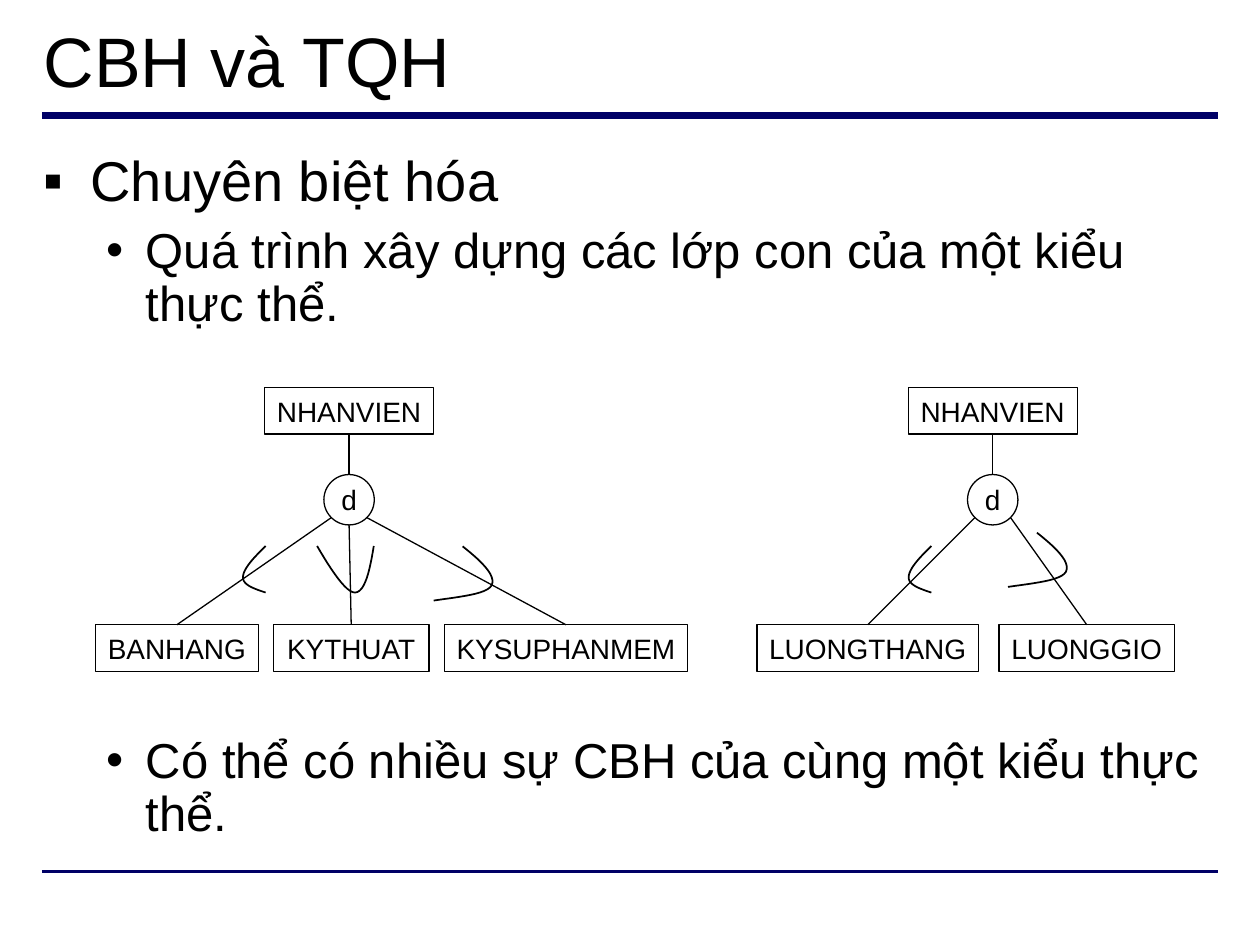
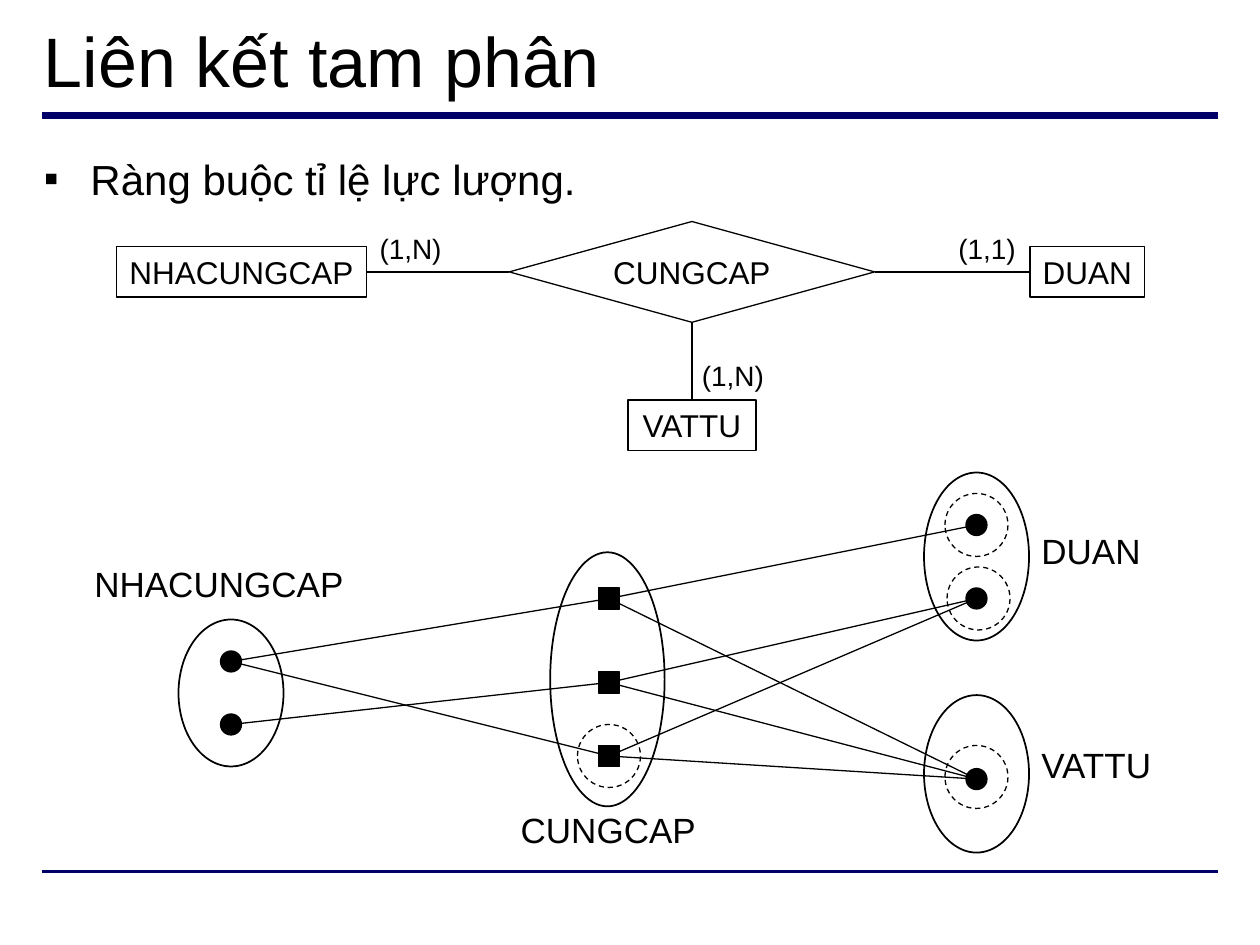
from dataclasses import dataclass

from lxml import etree
from pptx import Presentation
from pptx import util as u
from pptx.dml.color import RGBColor
from pptx.enum import dml, shapes, text
from pptx.oxml import ns

BLACK = RGBColor(0x00, 0x00, 0x00)
WHITE = RGBColor(0xFF, 0xFF, 0xFF)
NAVY = RGBColor(0x00, 0x00, 0x66)
FONT = "Arial"
COLUMNS, ROWS = 120, 90  # square grid cells, twelve to the inch
CELL = u.Inches(10) // COLUMNS
RECTANGLE = shapes.MSO_SHAPE.RECTANGLE
OVAL = shapes.MSO_SHAPE.OVAL
DIAMOND = shapes.MSO_SHAPE.DIAMOND
TOP, LEFT, BOTTOM, RIGHT = range(4)

# Bullet levels: character, left indent, hanging indent (inches)
BULLETS = [("▪", 0.37, 0.37), ("•", 0.81, 0.31)]

# Subset marks: Bezier points in cells, counted from the mark's start
SUBSET_MARKS = {
    "left": [(0, 0), (-1.08, 1.08), (-2.16, 2.16), (-2.16, 3),
             (-2.16, 3.72), (-1.08, 4.08), (0, 4.44)],
    "middle": [(0, 0), (1.32, 2.28), (2.76, 4.44), (3.6, 4.44),
               (4.56, 4.44), (5.04, 2.28), (5.4, 0)],
    "right": [(0, 0), (2.52, -0.36), (5.04, -0.6), (5.52, -1.44),
              (6, -2.4), (4.44, -3.84), (2.76, -5.16)],
}


@dataclass
class Region:
    """A part of a slide; positions in it are counted in grid cells."""
    slide: object
    column: float
    row: float

    def point(self, column, row):
        return round((self.column + column) * CELL), round((self.row + row) * CELL)

    def box(self, column, row, width, height):
        return *self.point(column, row), round(width * CELL), round(height * CELL)


def write(frame, content, size, align=text.PP_ALIGN.LEFT,
          anchor=text.MSO_ANCHOR.TOP, wrap=False, level=None,
          spacing=None, before=0, new_paragraph=False):
    frame.word_wrap = wrap
    frame.vertical_anchor = anchor
    paragraph = frame.add_paragraph() if new_paragraph else frame.paragraphs[0]
    if level is not None:
        add_bullet(paragraph, *BULLETS[level])
    paragraph.alignment = align
    paragraph.space_before = u.Pt(before)
    if spacing:
        paragraph.line_spacing = spacing
    run = paragraph.add_run()
    run.text = content
    run.font.name = FONT
    run.font.size = u.Pt(size)
    run.font.color.rgb = BLACK


def add_bullet(paragraph, character, indent, hanging):
    properties = paragraph._p.get_or_add_pPr()
    properties.set("marL", str(u.Inches(indent)))
    properties.set("indent", str(-u.Inches(hanging)))
    etree.SubElement(properties, ns.qn("a:buFont"), typeface=FONT)
    etree.SubElement(properties, ns.qn("a:buChar"), char=character)


def add_text(region, box, content, size, **formatting):
    textbox = region.slide.shapes.add_textbox(*region.box(*box))
    write(textbox.text_frame, content, size, **formatting)
    return textbox.text_frame


def add_shape(region, kind, box, fill=None, width=0.75, dashed=False,
              label=None, size=16):
    shape = region.slide.shapes.add_shape(kind, *region.box(*box))
    shape.shadow.inherit = False
    if fill is None:
        shape.fill.background()
    else:
        shape.fill.solid()
        shape.fill.fore_color.rgb = fill
    shape.line.color.rgb = BLACK
    shape.line.width = u.Pt(width)
    if dashed:
        shape.line.dash_style = dml.MSO_LINE.DASH
    if label:
        write(shape.text_frame, label, size, align=text.PP_ALIGN.CENTER,
              anchor=text.MSO_ANCHOR.MIDDLE)
    return shape


def add_centred(region, kind, centre, radius, **formatting):
    column, row = centre
    box = (column - radius, row - radius, 2 * radius, 2 * radius)
    return add_shape(region, kind, box, **formatting)


def add_line(region, start, end, colour=BLACK, width=0.75):
    line = region.slide.shapes.add_connector(
        shapes.MSO_CONNECTOR.STRAIGHT, *region.point(*start), *region.point(*end))
    line.line.color.rgb = colour
    line.line.width = u.Pt(width)
    etree.SubElement(line._element.spPr, ns.qn("a:effectLst"))
    return line


def bezier(a, b, c, d, steps=12):
    for step in range(1, steps + 1):
        t = step / steps
        s = 1 - t
        weights = (s ** 3, 3 * s * s * t, 3 * s * t * t, t ** 3)
        yield tuple(sum(w * p[axis] for w, p in zip(weights, (a, b, c, d)))
                    for axis in (0, 1))


def add_subset_mark(region, side, column, row):
    controls = [(column + x, row + y) for x, y in SUBSET_MARKS[side]]
    curve = [*bezier(*controls[:4]), *bezier(*controls[3:])]
    builder = region.slide.shapes.build_freeform(*region.point(*controls[0]))
    builder.add_line_segments([region.point(*p) for p in curve], close=False)
    mark = builder.convert_to_shape()
    mark.shadow.inherit = False
    mark.fill.background()
    mark.line.color.rgb = BLACK
    mark.line.width = u.Pt(1)


def new_slide(presentation, title):
    """Blank slide with the shared title and the two navy rules."""
    slide = presentation.slides.add_slide(presentation.slide_layouts[6])
    page = Region(slide, 0, 0)
    for row, width in ((11, 4.5), (83, 2.25)):
        add_line(page, (4, row), (COLUMNS - 4, row), NAVY, width)
    add_text(page, (3, 1.1, COLUMNS - 6, 9.2), title, 40, wrap=True,
             anchor=text.MSO_ANCHOR.MIDDLE)
    return page


def draw_tree(region, parent_column, children, gap, marks):
    """Superclass on top, disjoint circle, then a row of subclasses."""
    height, child_row, radius = 4.45, 22.6, 2.4
    parent_width = 16.1
    centre = parent_column + parent_width / 2
    circle_row = 10.7
    parent = add_shape(region, RECTANGLE, (parent_column, 0, parent_width, height),
                       fill=WHITE, label="NHANVIEN")
    add_centred(region, OVAL, (centre, circle_row), radius, label="d")
    stem = add_line(region, (centre, height), (centre, circle_row - radius))
    stem.begin_connect(parent, BOTTOM)

    diagonal = radius * 0.71
    exits = {"left": (-diagonal, diagonal), "middle": (0, radius),
             "right": (diagonal, diagonal)}
    column = 0
    for (name, width), (side, mark_column, mark_row) in zip(children, marks):
        child = add_shape(region, RECTANGLE, (column, child_row, width, height),
                          fill=WHITE, label=name)
        across, down = exits[side]
        branch = add_line(region, (centre + across, circle_row + down),
                          (column + width / 2, child_row))
        branch.end_connect(child, TOP)
        add_subset_mark(region, side, mark_column, mark_row)
        column += width + gap


def draw_relationship(region):
    """Ternary relationship with its entity types and cardinalities."""
    def entity(name, column, row, width):
        return add_shape(region, RECTANGLE, (column, row, width, 4.8),
                         fill=WHITE, label=name, size=18)

    supplier = entity("NHACUNGCAP", 0, 2.4, 23.8)
    project = entity("DUAN", 87, 2.4, 10.9)
    part = entity("VATTU", 48.7, 17, 12.2)
    supply = add_shape(region, DIAMOND, (37.4, 0, 34.8, 9.6),
                       fill=WHITE, label="CUNGCAP", size=18)
    links = [(supplier, RIGHT, supply, LEFT), (supply, RIGHT, project, LEFT),
             (supply, BOTTOM, part, TOP)]
    for source, source_side, target, target_side in links:
        line = add_line(region, (0, 0), (0, 0))
        line.begin_connect(source, source_side)
        line.end_connect(target, target_side)

    cardinalities = [("(1,N)", 23, 0.3), ("(1,1)", 77.9, 0.3), ("(1,N)", 53.7, 12.4)]
    for label, column, row in cardinalities:
        add_text(region, (column, row, 10, 4.45), label, 16,
                 align=text.PP_ALIGN.CENTER, anchor=text.MSO_ANCHOR.MIDDLE)


def draw_instances(region):
    """Sets of instances joined through the relationship's instances."""
    suppliers = [(14, 18), (14, 24)]
    supplies = [(50, 12), (50, 20), (50, 27)]
    projects = [(85, 5), (85, 12)]
    part = (85, 29.2)

    # Each supply joins one supplier, one project and the part
    for supply, supplier, project in zip(supplies, (0, 1, 0), (0, 1, 1)):
        for end in (suppliers[supplier], projects[project], part):
            add_line(region, supply, end)

    # Sets: name, ellipse, label box
    sets = [
        ("NHACUNGCAP", (9, 14, 10, 14), (-0.2, 8, 26.2, 5.3)),
        ("CUNGCAP", (44.4, 7.6, 10.9, 24.2), (40.4, 31.4, 19.1, 5.3)),
        ("DUAN", (80, 0, 10, 16), (90, 4.8, 11.9, 5.3)),
        ("VATTU", (80, 21.2, 10, 15), (90, 25.2, 13.3, 5.3)),
    ]
    for name, ellipse, label_box in sets:
        add_shape(region, OVAL, ellipse, width=1)
        add_text(region, label_box, name, 20)

    # Instances and the dashed rings around some of them
    for centre in [*suppliers, *projects, part]:
        add_centred(region, OVAL, centre, 1, fill=BLACK)
    for centre in supplies:
        add_centred(region, RECTANGLE, centre, 1, fill=BLACK)
    for centre in [projects[0], (85.2, 12), (85, 29), supplies[2]]:
        add_centred(region, OVAL, centre, 3, dashed=True)


def specialization_slide(presentation):
    page = new_slide(presentation, "CBH và TQH")
    body = add_text(page, (3, 14, COLUMNS - 6, 20), "Chuyên biệt hóa", 32,
                    wrap=True, level=0, spacing=0.9)
    write(body, "Quá trình xây dựng các lớp con của một kiểu thực thể.", 28,
          wrap=True, level=1, spacing=0.9, before=7, new_paragraph=True)
    draw_tree(Region(page.slide, 9.1, 36.9), 16.1,
              [("BANHANG", 15.5), ("KYTHUAT", 14.8), ("KYSUPHANMEM", 23.2)], 1.45,
              [("left", 16.2, 15.1), ("middle", 21.1, 15.1), ("right", 32.2, 20.3)])
    draw_tree(Region(page.slide, 72.1, 36.9), 14.4,
              [("LUONGTHANG", 21.1), ("LUONGGIO", 16.7)], 1.95,
              [("left", 16.6, 15.1), ("right", 23.9, 19)])
    add_text(page, (3, 69.5, COLUMNS - 6, 11.2),
             "Có thể có nhiều sự CBH của cùng một kiểu thực thể.", 28,
             wrap=True, level=1, spacing=0.9)


def ternary_slide(presentation):
    page = new_slide(presentation, "Liên kết tam phân")
    add_text(page, (3, 14, COLUMNS - 6, 6), "Ràng buộc tỉ lệ lực lượng.", 24,
             wrap=True, level=0)
    draw_relationship(Region(page.slide, 11.1, 21.1))
    draw_instances(Region(page.slide, 8, 45))


def main():
    presentation = Presentation()
    presentation.slide_width = CELL * COLUMNS
    presentation.slide_height = CELL * ROWS
    specialization_slide(presentation)
    ternary_slide(presentation)
    presentation.save("out.pptx")


if __name__ == "__main__":
    main()
